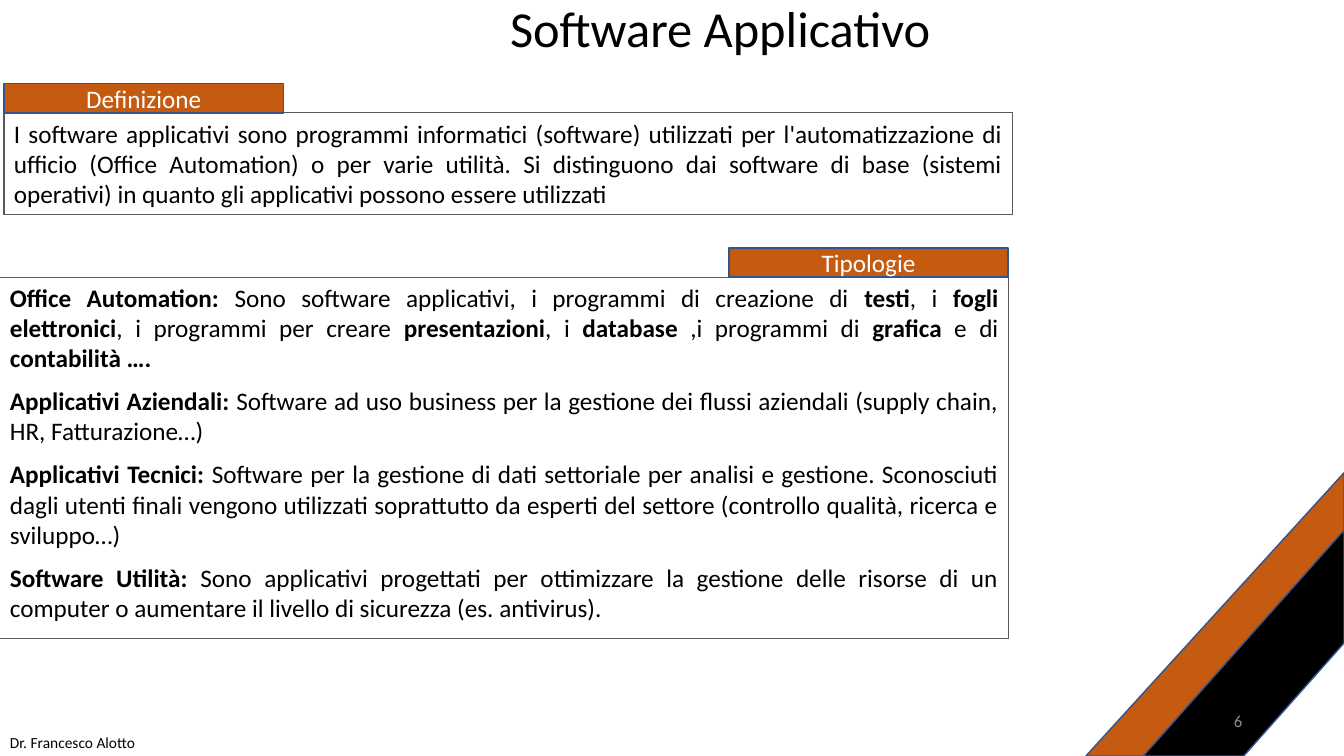
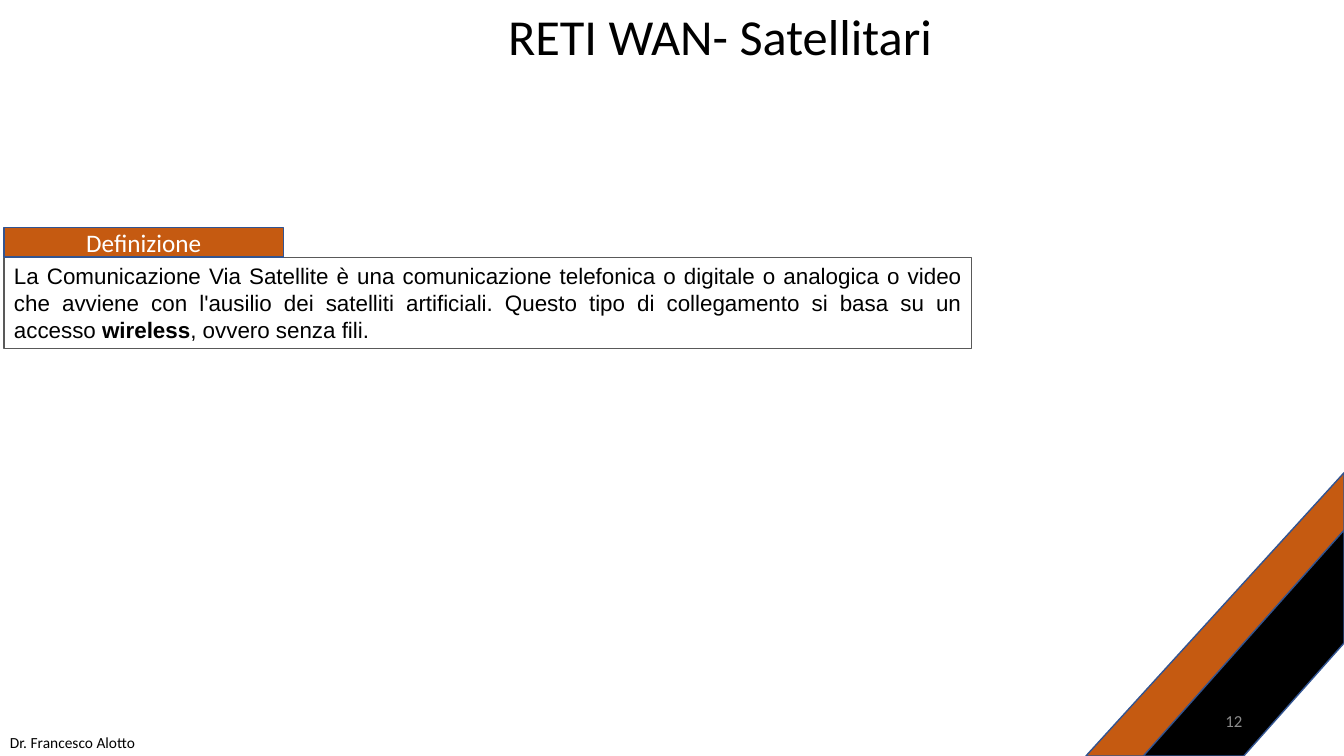
from pptx import Presentation
from pptx.dml.color import RGBColor
from pptx.enum.shapes import MSO_SHAPE
from pptx.enum.text import MSO_ANCHOR, PP_ALIGN
from pptx.util import Inches, Pt

ORANGE = RGBColor(0xC5, 0x5A, 0x11)
BLUE = RGBColor(0x32, 0x54, 0x91)
GREY = RGBColor(0x59, 0x59, 0x59)
NUMBER_GREY = RGBColor(0x8C, 0x8C, 0x8C)
BLACK = RGBColor(0, 0, 0)
WHITE = RGBColor(255, 255, 255)

WIDTH, HEIGHT = 13.33, 7.5
TAB_WIDTH, TAB_HEIGHT = 2.77, 0.29


class Deck:
    """Shared style and the slide being built."""

    font = "Calibri"

    def __init__(self):
        self.presentation = Presentation()
        self.presentation.slide_width = Inches(WIDTH)
        self.presentation.slide_height = Inches(HEIGHT)
        self.slide = None

    def add_paragraphs(self, shape, paragraphs, size, color=BLACK,
                       align=PP_ALIGN.LEFT, anchor=MSO_ANCHOR.TOP, font=None):
        """Fill a shape with paragraphs; text between ** marks is bold."""
        frame = shape.text_frame
        frame.word_wrap = True
        frame.vertical_anchor = anchor
        for index, text in enumerate(paragraphs):
            paragraph = frame.add_paragraph() if index else frame.paragraphs[0]
            paragraph.alignment = align
            paragraph.space_before = Pt(size / 2 if index else 0)
            for position, part in enumerate(text.split("**")):
                if part:
                    run = paragraph.add_run()
                    run.text = part
                    run.font.name = font or self.font
                    run.font.size = Pt(size)
                    run.font.bold = position % 2 == 1
                    run.font.color.rgb = color

    def text(self, left, top, width, height, text, size, **style):
        box = self.slide.shapes.add_textbox(
            Inches(left), Inches(top), Inches(width), Inches(height))
        self.add_paragraphs(box, [text], size, **style)

    def shape(self, kind, left, top, width, height, fill, line, weight):
        shape = self.slide.shapes.add_shape(
            kind, Inches(left), Inches(top), Inches(width), Inches(height))
        shape.shadow.inherit = False
        if fill is None:
            shape.fill.background()
        else:
            shape.fill.solid()
            shape.fill.fore_color.rgb = fill
        shape.line.color.rgb = line
        shape.line.width = Pt(weight)
        return shape

    def stripe(self, width, height, fill):
        """Diagonal band in the bottom right corner."""
        stripe = self.shape(MSO_SHAPE.DIAGONAL_STRIPE, WIDTH - width,
                            HEIGHT - height, width, height, fill, BLUE, 1)
        stripe.rotation = 180

    def start_slide(self, title, left, top, number):
        self.slide = self.presentation.slides.add_slide(
            self.presentation.slide_layouts[6])
        self.stripe(2.56, 2.81, ORANGE)
        self.stripe(1.99, 2.24, BLACK)
        self.text(0, 7.22, 2.49, 0.29, "Dr. Francesco Alotto", 11)
        self.text(left, top, 4.59, 0.71, title, 36)
        self.text(9.42, 6.95, 3, 0.4, str(number), 12, color=NUMBER_GREY,
                  align=PP_ALIGN.RIGHT, anchor=MSO_ANCHOR.MIDDLE)

    def panel(self, label, left, top, width, height, paragraphs,
              tab_left, size=18, font=None):
        """Outlined text box with an orange label on its top edge."""
        box = self.shape(MSO_SHAPE.RECTANGLE, left, top, width, height,
                         None, GREY, 0.75)
        self.add_paragraphs(box, paragraphs, size, align=PP_ALIGN.JUSTIFY,
                            font=font)
        tab = self.shape(MSO_SHAPE.RECTANGLE, tab_left, top - TAB_HEIGHT,
                         TAB_WIDTH, TAB_HEIGHT, ORANGE, BLUE, 1)
        self.add_paragraphs(tab, [label], 18, WHITE, PP_ALIGN.CENTER,
                            MSO_ANCHOR.MIDDLE)


deck = Deck()

# Application software
deck.start_slide("Software Applicativo", 4.96, -0.08, 6)
deck.panel("Definizione", 0.04, 1.12, 10, 1.01, [
    "I software applicativi sono programmi informatici (software) utilizzati "
    "per l'automatizzazione di ufficio (Office Automation) o per varie "
    "utilità. Si distinguono dai software di base (sistemi operativi) in "
    "quanto gli applicativi possono essere utilizzati",
], tab_left=0.04)
deck.panel("Tipologie", 0, 2.75, 10, 3.58, [
    "**Office Automation: **Sono software applicativi, i programmi di "
    "creazione di **testi**, i **fogli elettronici**, i programmi per creare "
    "**presentazioni**, i **database** ,i programmi di **grafica** e di "
    "**contabilità ….**",
    "**Applicativi Aziendali: **Software ad uso business per la gestione dei "
    "flussi aziendali (supply chain, HR, Fatturazione…)",
    "**Applicativi Tecnici: **Software per la gestione di dati settoriale per "
    "analisi e gestione. Sconosciuti dagli utenti finali vengono utilizzati "
    "soprattutto da esperti del settore (controllo qualità, ricerca e "
    "sviluppo…)",
    "**Software Utilità:** Sono applicativi progettati per ottimizzare la "
    "gestione delle risorse di un computer o aumentare il livello di "
    "sicurezza (es. antivirus). ",
], tab_left=10 - TAB_WIDTH)

# Satellite networks
deck.start_slide("RETI WAN- Satellitari", 4.94, 0, 12)
deck.panel("Definizione", 0.04, 2.55, 9.6, 0.91, [
    "La Comunicazione Via Satellite è una comunicazione telefonica o digitale "
    "o analogica o video che avviene con l'ausilio dei satelliti artificiali. "
    "Questo tipo di collegamento si basa su un accesso **wireless**, ovvero "
    "senza fili.",
], tab_left=0.04, size=16, font="Arial")

deck.presentation.save("out.pptx")
